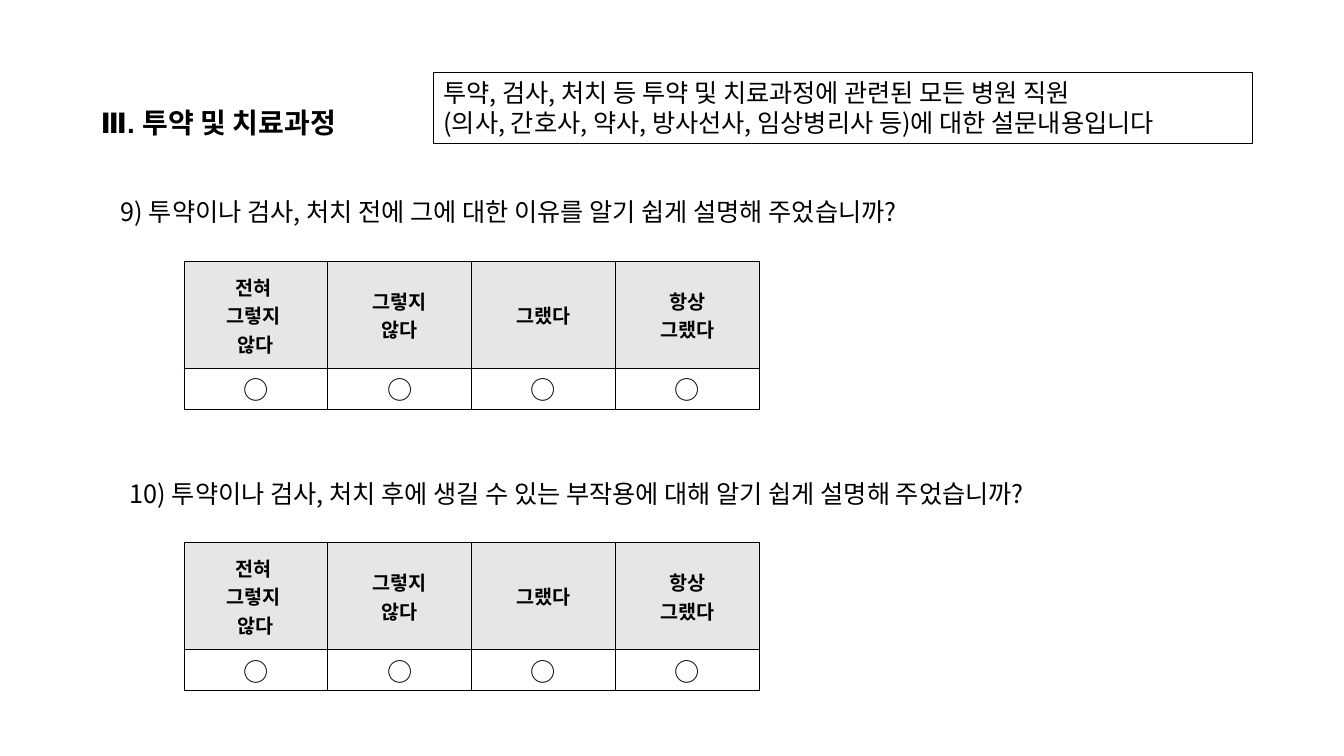
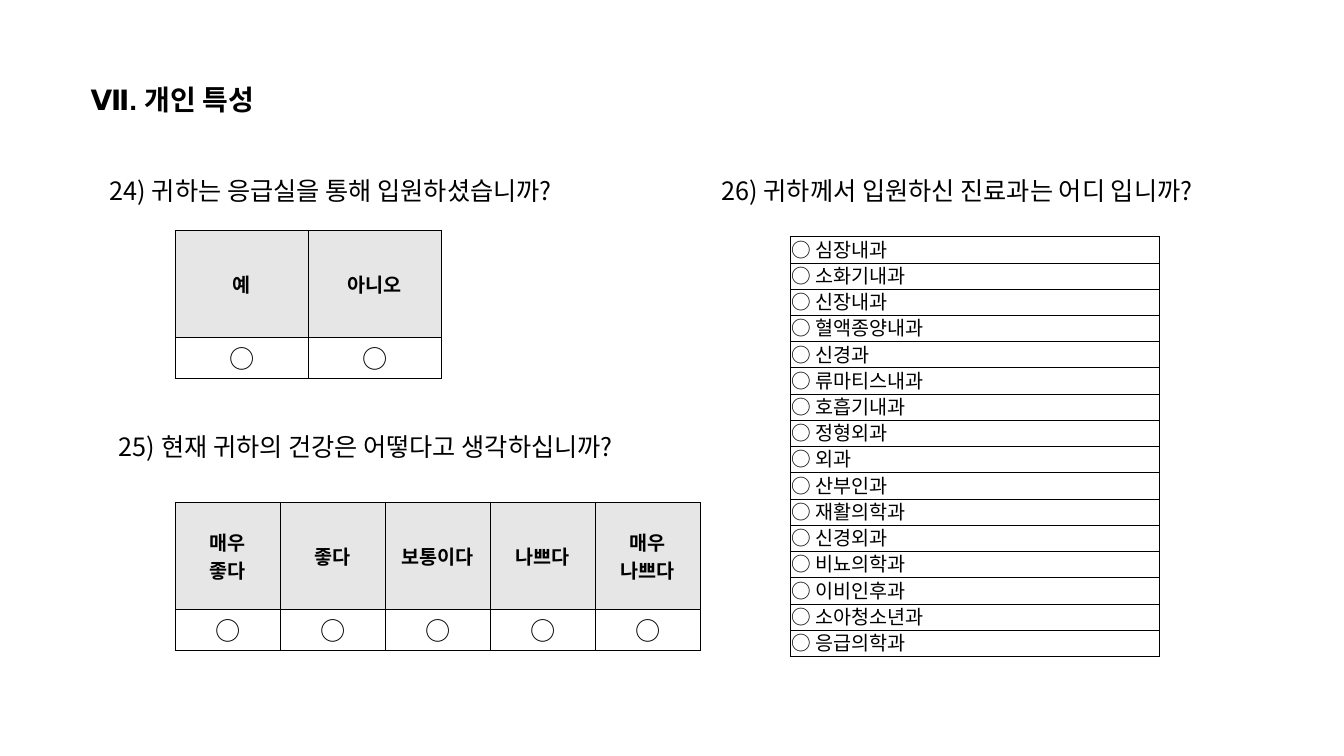
import pptx
import pptx.util
import pptx.dml.color
import pptx.enum.shapes
import pptx.enum.text
import pptx.oxml
import pptx.oxml.ns

Pt = pptx.util.Pt
ALIGN = pptx.enum.text.PP_ALIGN
ANCHOR = pptx.enum.text.MSO_ANCHOR
RGB = pptx.dml.color.RGBColor.from_string
COLORS = {"ink": "000000", "header": "E7E6E6", "paper": "FFFFFF"}
KOREAN = "Noto Sans CJK KR"
NS = pptx.oxml.ns.nsdecls("a")

AGREEMENT = ["전혀 \n그렇지 \n않다", "그렇지\n않다", "그랬다", "항상\n그랬다"]
HEALTH = ["매우\n좋다", "좋다", "보통이다", "나쁘다", "매우\n나쁘다"]
DEPARTMENTS = ["심장내과", "소화기내과", "신장내과", "혈액종양내과", "신경과", "류마티스내과",
               "호흡기내과", "정형외과", "외과", "산부인과", "재활의학과", "신경외과",
               "비뇨의학과", "이비인후과", "소아청소년과", "응급의학과"]

SLIDES = [
    {
        "title": ("Ⅲ. 투약 및 치료과정", 64.8, 71.3, 203),
        "questions": [
            ("9) 투약이나 검사, 처치 전에 그에 대한 이유를 알기 쉽게 설명해 주었습니까?", 79.2, 136.8, 640),
            ("10) 투약이나 검사, 처치 후에 생길 수 있는 부작용에 대해 알기 쉽게 설명해 주었습니까?", 85.7, 338.4, 736),
        ],
        "scales": [(AGREEMENT, 131.4, 186.6, 411), (AGREEMENT, 131.4, 387.4, 411)],
        "note": ["투약, 검사, 처치 등 투약 및 치료과정에 관련된 모든 병원 직원",
                 "(의사, 간호사, 약사, 방사선사, 임상병리사 등)에 대한 설문내용입니다"],
        "choices": [],
    },
    {
        "title": ("Ⅶ. 개인 특성", 57.6, 55.4, 135),
        "questions": [
            ("24) 귀하는 응급실을 통해 입원하셨습니까?", 71.3, 121.7, 373),
            ("25) 현재 귀하의 건강은 어떻다고 생각하십니까?", 77.8, 304.6, 408),
            ("26) 귀하께서 입원하신 진료과는 어디 입니까?", 508.3, 121.7, 398),
        ],
        "scales": [(["예", "아니오"], 125.3, 164.4, 190), (HEALTH, 125.3, 358.6, 375)],
        "note": [],
        "choices": DEPARTMENTS,
    },
]


def write(tf, lines, size, spacing, font=KOREAN, bold=False, align=ALIGN.LEFT):
    tf.word_wrap = True
    for i, line in enumerate(lines):
        p = tf.paragraphs[0] if i == 0 else tf.add_paragraph()
        p.alignment = align
        p.line_spacing = Pt(spacing)
        for j, text in enumerate(line.split("\n")):
            if j:
                p.add_line_break()
            r = p.add_run()
            r.text = text
            r.font.size = Pt(size)
            r.font.bold = bold
            r.font.name = font
            r.font.color.rgb = RGB(COLORS["ink"])
            r.font._element.find(pptx.oxml.ns.qn("a:latin")).addnext(
                pptx.oxml.parse_xml(f'<a:ea {NS} typeface="{KOREAN}"/>'))


def add_grid(s, x, y, w, heights, columns):
    table = s.shapes.add_table(len(heights), columns, Pt(x), Pt(y), Pt(w), Pt(sum(heights))).table
    table.first_row = table.horz_banding = False
    for column in table.columns:
        column.width = Pt(w / columns)
    for row, height in zip(table.rows, heights):
        row.height = Pt(height)
    for cell in table.iter_cells():
        cell.margin_left = cell.margin_right = cell.margin_top = Pt(0.7)
        cell.margin_bottom = Pt(0)
        cell.vertical_anchor = ANCHOR.MIDDLE
        tcPr = cell._tc.get_or_add_tcPr()
        for edge in ("lnL", "lnR", "lnT", "lnB"):
            tcPr.append(pptx.oxml.parse_xml(
                f'<a:{edge} {NS} w="{Pt(0.5)}"><a:solidFill><a:srgbClr val="{COLORS["ink"]}"/>'
                f'</a:solidFill></a:{edge}>'))
        cell.fill.background()
    return table


prs = pptx.Presentation()
prs.slide_width, prs.slide_height = Pt(960), Pt(540)

for content in SLIDES:
    s = prs.slides.add_slide(prs.slide_layouts[6])

    title, x, y, w = content["title"]
    tf = s.shapes.add_textbox(Pt(x), Pt(y), Pt(w), Pt(31.5)).text_frame
    write(tf, [title], 20, 24.3, "Arial", True)

    for question, x, y, w in content["questions"]:
        tf = s.shapes.add_textbox(Pt(x), Pt(y), Pt(w), Pt(29)).text_frame
        write(tf, [question], 18, 21.5)

    for labels, x, y, w in content["scales"]:
        table = add_grid(s, x, y, w, [76.3, 29.3], len(labels))
        for i, label in enumerate(labels):
            header, answer = table.cell(0, i), table.cell(1, i)
            write(header.text_frame, [label], 14, 20.4, bold=True, align=ALIGN.CENTER)
            write(answer.text_frame, ["○"], 18, 26, align=ALIGN.CENTER)
            for cell, color in ((header, "header"), (answer, "paper")):
                cell.fill.solid()
                cell.fill.fore_color.rgb = RGB(COLORS[color])

    if content["note"]:
        sp = s.shapes.add_shape(pptx.enum.shapes.MSO_SHAPE.RECTANGLE,
                                Pt(309.6), Pt(51.8), Pt(585.4), Pt(51))
        sp.shadow.inherit = False
        sp.fill.background()
        sp.line.color.rgb = RGB(COLORS["ink"])
        sp.line.width = Pt(0.75)
        sp.text_frame.vertical_anchor = ANCHOR.TOP
        write(sp.text_frame, content["note"], 18, 21.5)

    if content["choices"]:
        table = add_grid(s, 564.5, 169, 263.5, [18.76] * len(content["choices"]), 1)
        for cell, choice in zip(table.iter_cells(), content["choices"]):
            cell.vertical_anchor = ANCHOR.BOTTOM
            write(cell.text_frame, [f"○ {choice}"], 14, 17)

prs.save("out.pptx")
